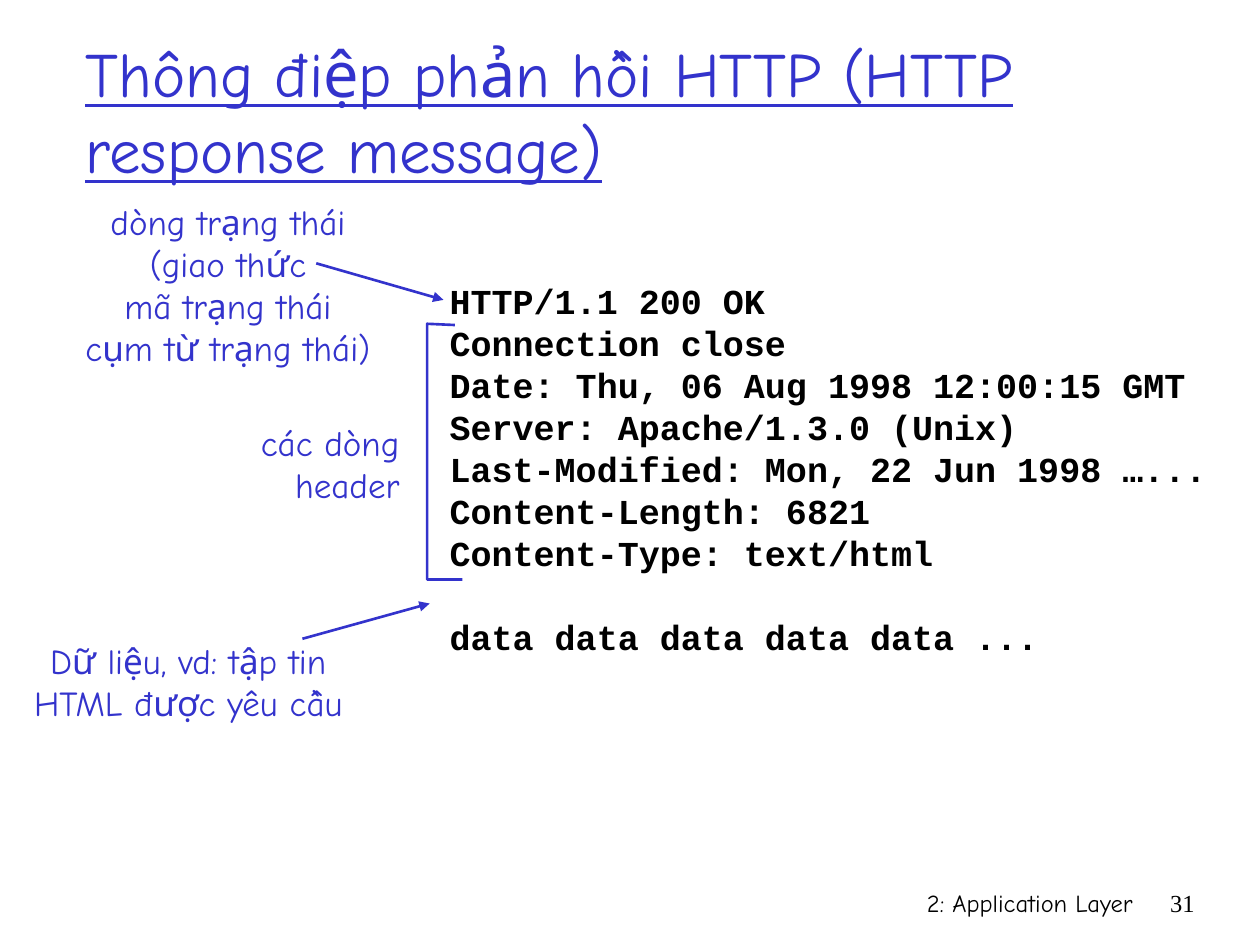
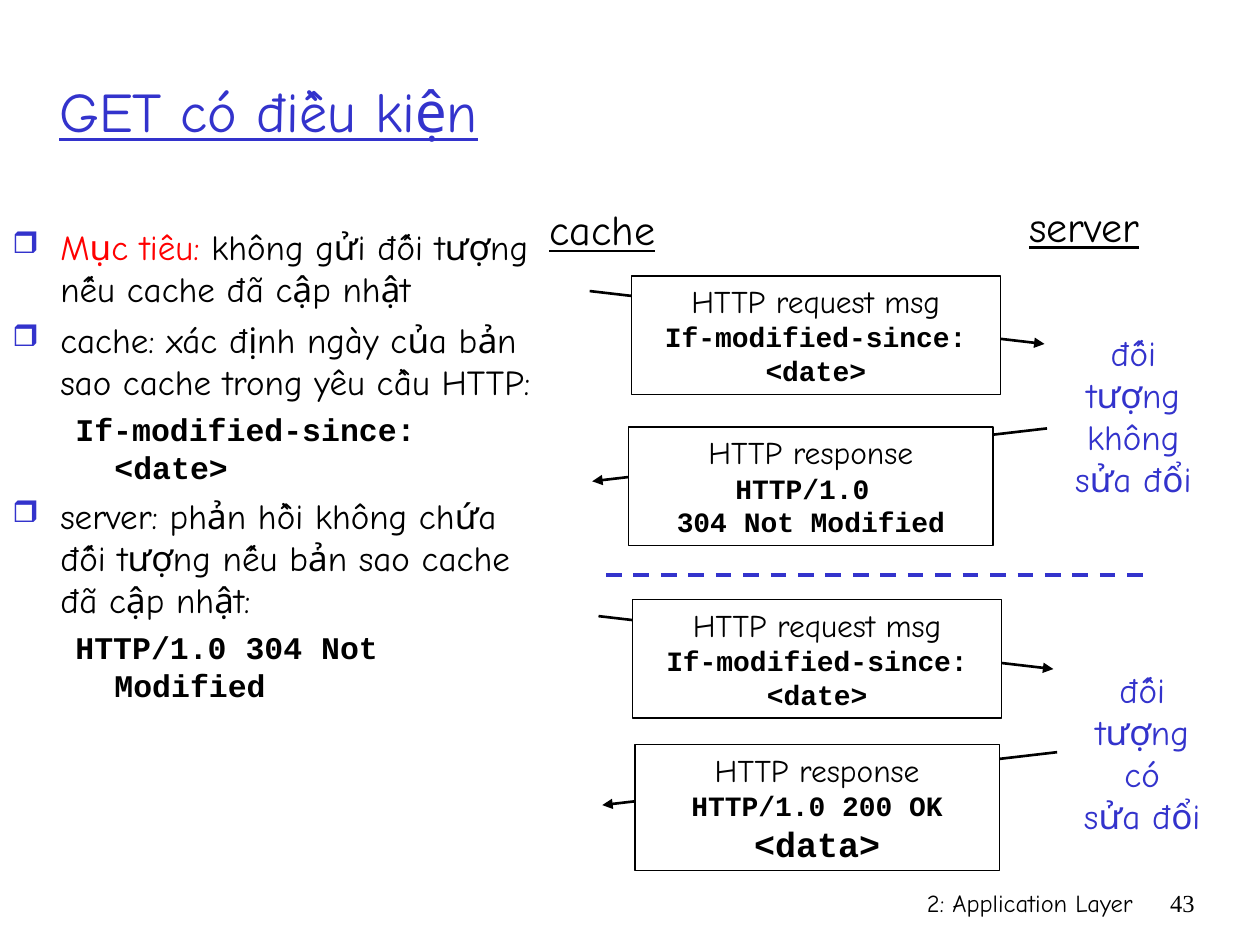
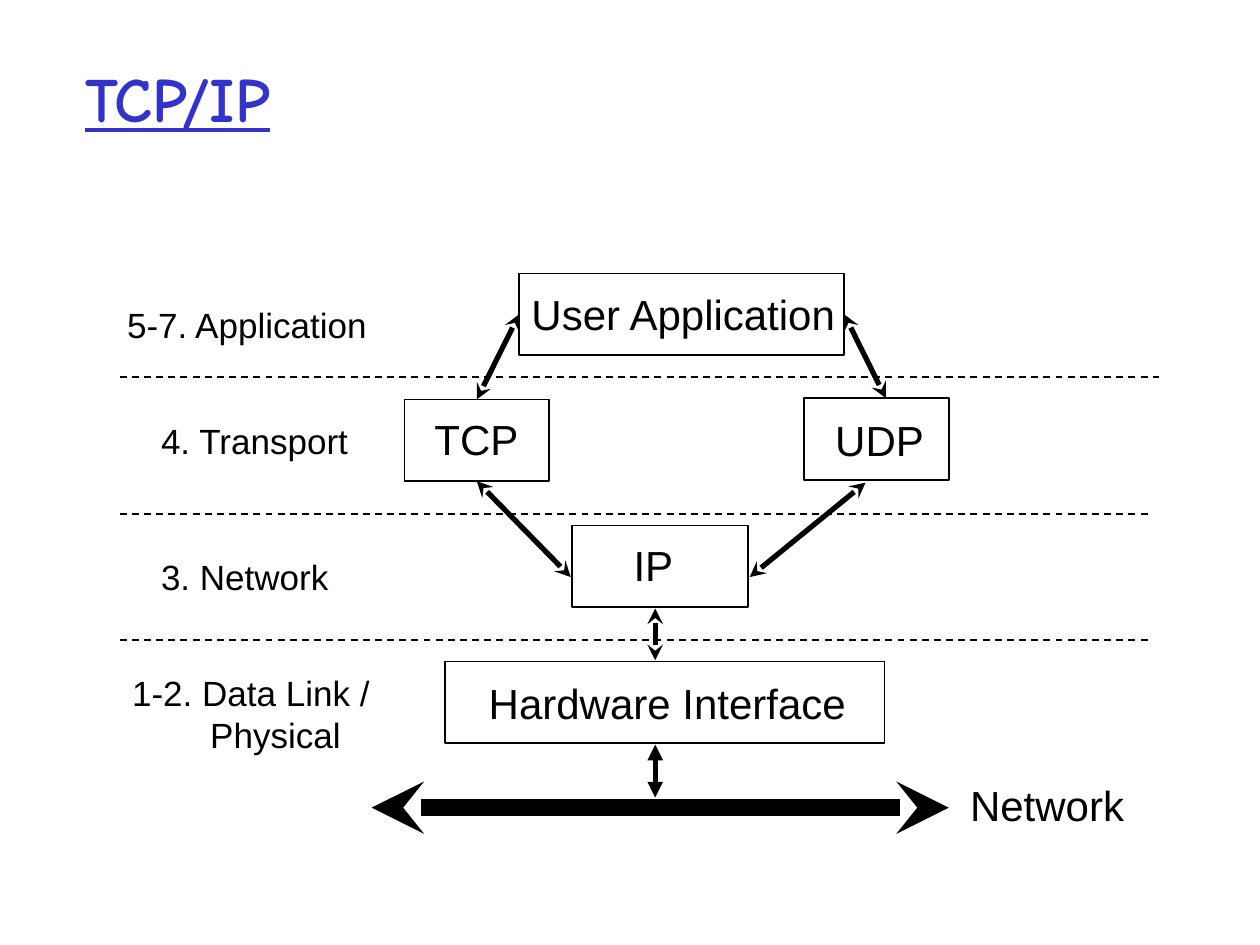
import pptx
import pptx.dml.color
import pptx.enum.dml
import pptx.enum.shapes
import pptx.enum.text
import pptx.oxml
import pptx.oxml.ns
import pptx.util
from dataclasses import dataclass


@dataclass(frozen=True)
class Theme:
    blue: str = "3333CC"
    black: str = "000000"
    white: str = "FFFFFF"
    red: str = "FF0000"
    hand: str = "Comic Neue"
    code: str = "Courier New"
    serif: str = "Times New Roman"
    sans: str = "Arial"
    title: int = 36
    heading: int = 24
    body: int = 20
    message: int = 18
    small_code: int = 16
    footer: int = 14


THEME = Theme()
WIDTH, HEIGHT = 10, 7.5
ALIGN = pptx.enum.text.PP_ALIGN
MIDDLE = pptx.enum.text.MSO_ANCHOR.MIDDLE
TOP, LEFT, BOTTOM, RIGHT = range(4)

# Formats
CODE = dict(font=THEME.code, bold=True)
NOTE = dict(color=THEME.blue, wrap=False)
CENTERED_NOTE = dict(NOTE, align=ALIGN.CENTER)
COLUMN_HEAD = dict(size=THEME.heading, underline=True, align=ALIGN.CENTER, wrap=False)
BULLET = dict(bullet="❒", left=0.38, hanging=0.38, before=5)
CODE_ITEM = dict(CODE, size=THEME.message, level=1, left=0.81, hanging=0.31, before=4.5)
SMALL_CODE = dict(CODE, size=THEME.small_code)
DIAGRAM = dict(font=THEME.sans, wrap=False)

# HTTP response message
RESPONSE_LINES = [
    "HTTP/1.1 200 OK",
    "Connection close",
    "Date: Thu, 06 Aug 1998 12:00:15 GMT",
    "Server: Apache/1.3.0 (Unix)",
    "Last-Modified: Mon, 22 Jun 1998 …...",
    "Content-Length: 6821",
    "Content-Type: text/html",
    dict(text="data data data data data ...", before=24),
]
RESPONSE_NOTES = [
    ((0.58, 1.54, 2.46, 1.44), ALIGN.CENTER,
     ["dòng trạng thái", "(giao thức", "mã trạng thái", "cụm từ trạng thái)"]),
    ((1.97, 3.3, 1.3, 0.77), ALIGN.RIGHT, ["các dòng", "header"]),
    ((0.16, 5.03, 2.67, 0.77), ALIGN.CENTER,
     ["Dữ liệu, vd: tập tin", "HTML được yêu cầu"]),
]
NOTE_ARROWS = [((2.51, 2.09), (3.52, 2.38)), ((2.4, 5.07), (3.41, 4.79))]
HEADER_BRACKET = [(3.61, 2.58), (3.39, 2.57), (3.39, 4.6), (3.67, 4.6)]

# Conditional GET
CACHE_POINTS = [
    dict(BULLET, before=0, text=[("Mục tiêu:", THEME.red),
                                 (" không gửi đối tượng nếu cache đã cập nhật", THEME.black)]),
    dict(BULLET, text="cache: xác định ngày của bản sao cache trong yêu cầu HTTP:"),
    dict(CODE_ITEM, text="If-modified-since: <date>"),
    dict(BULLET, text="server: phản hồi không chứa đối tượng nếu bản sao cache đã cập nhật:"),
    dict(CODE_ITEM, text="HTTP/1.0 304 Not Modified"),
]
COLUMN_HEADS = [("cache", (4.26, 1.57, 1.04, 0.5)), ("server", (8.07, 1.54, 1.07, 0.5))]
REQUEST = ["HTTP request msg", dict(SMALL_CODE, text="If-modified-since: <date>")]
NOT_MODIFIED = ["HTTP response", dict(SMALL_CODE, text="HTTP/1.0 "),
                dict(SMALL_CODE, text="304 Not Modified")]
MODIFIED = ["HTTP response", dict(SMALL_CODE, text="HTTP/1.0 200 OK"),
            dict(CODE, size=THEME.body, text="<data>")]
TO_SERVER, TO_CACHE = (3.61, 0.42), (-3.61, 0.42)
MESSAGES = [  # arrow start, arrow reach, box, paragraphs
    ((4.68, 2.31), TO_SERVER, (5.01, 2.19, 2.93, 0.94), REQUEST),
    ((8.31, 3.4), TO_CACHE, (4.99, 3.39, 2.89, 0.94), NOT_MODIFIED),
    ((4.75, 4.89), TO_SERVER, (5.02, 4.76, 2.93, 0.94), REQUEST),
    ((8.39, 5.97), TO_CACHE, (5.04, 5.91, 2.89, 1), MODIFIED),
]
OUTCOMES = [
    ((8.3, 2.58, 1.39, 1.1), ["đối tượng", "không", "sửa đổi"]),
    ((8.37, 5.26, 1.39, 1.1), ["đối tượng", "có", "sửa đổi"]),
]

# TCP/IP layers
BOX_HEIGHT = 0.65
PROTOCOLS = {  # box left, top, width; label left, top, width
    "User Application": ((4.12, 2.17, 2.58), (4.12, 2.24, 2.67)),
    "TCP": ((3.21, 3.17, 1.15), (3.35, 3.23, 0.87)),
    "UDP": ((6.38, 3.16, 1.15), (6.53, 3.24, 0.91)),
    "Hardware Interface": ((3.53, 5.25, 3.49), (3.78, 5.33, 3.08)),
    "IP": ((4.54, 4.17, 1.4), (4.93, 4.23, 0.52)),
}
PROTOCOL_LINKS = [  # an end is a point, with a box and its side where it is joined
    ((4.12, 2.49), (3.78, 3.16), ("User Application", LEFT), ("TCP", TOP), "stealth"),
    ((6.7, 2.49), (7.03, 3.16), ("User Application", RIGHT), None, "stealth"),
    ((3.78, 3.83), (4.53, 4.58), ("TCP", BOTTOM), None, "stealth"),
    ((6.87, 3.83), (5.95, 4.58), None, None, "stealth"),
    ((5.2, 4.83), (5.2, 5.24), None, None, "stealth"),
    ((5.2, 5.91), (5.2, 6.33), None, None, "triangle"),
]
LAYER_BORDERS = [(2.99, 9.2), (4.08, 9.12), (5.08, 9.12)]
LAYERS = [
    ((0.91, 2.36, 2.12, 0.43), ["5-7. Application"]),
    ((1.18, 3.28, 1.7, 0.43), ["4. Transport"]),
    ((1.18, 4.36, 1.53, 0.43), ["3. Network"]),
    ((0.95, 5.28, 2.17, 0.77), ["1-2. Data Link /", dict(text="Physical", left=0.62)]),
]


def inches(values):
    return [pptx.util.Inches(value) for value in values]


def rgb(color):
    return pptx.dml.color.RGBColor.from_string(color)


def append_xml(parent, tag, **attributes):
    child = pptx.oxml.parse_xml(f"<a:{tag} {pptx.oxml.ns.nsdecls('a')}/>")
    for name, value in attributes.items():
        child.set(name, str(value))
    parent.append(child)
    return child


def write_paragraph(paragraph, text, size=THEME.body, font=THEME.hand, color=THEME.black,
                    bold=False, underline=False, align=ALIGN.LEFT, before=0,
                    left=0, hanging=0, level=0, bullet=None):
    properties = paragraph._p.get_or_add_pPr()
    properties.set("marL", str(pptx.util.Inches(left)))
    properties.set("indent", str(-pptx.util.Inches(hanging)))
    if bullet:
        append_xml(append_xml(properties, "buClr"), "srgbClr", val=THEME.blue)
        append_xml(properties, "buSzPct", val=85000)
        append_xml(properties, "buChar", char=bullet)
    paragraph.level = level
    paragraph.alignment = align
    paragraph.space_before = pptx.util.Pt(before)
    for words, run_color in [(text, color)] if isinstance(text, str) else text:
        run = paragraph.add_run()
        run.text = words
        run.font.name = font
        run.font.size = pptx.util.Pt(size)
        run.font.bold = bold
        run.font.underline = underline
        run.font.color.rgb = rgb(run_color)


def fill_text(shape, paragraphs, wrap=True, anchor=pptx.enum.text.MSO_ANCHOR.TOP, **style):
    """Write paragraphs, each a string or a dict whose format overrides the style."""
    frame = shape.text_frame
    frame.word_wrap = wrap
    frame.vertical_anchor = anchor
    for index, item in enumerate(paragraphs):
        paragraph = frame.add_paragraph() if index else frame.paragraphs[0]
        own = item if isinstance(item, dict) else dict(text=item)
        write_paragraph(paragraph, **{**style, **own})


def add_text(slide, place, paragraphs, **style):
    fill_text(slide.shapes.add_textbox(*inches(place)), paragraphs, **style)


def add_box(slide, place, line_width):
    box = slide.shapes.add_shape(pptx.enum.shapes.MSO_SHAPE.RECTANGLE, *inches(place))
    box.shadow.inherit = False
    box.fill.solid()
    box.fill.fore_color.rgb = rgb(THEME.white)
    box.line.color.rgb = rgb(THEME.black)
    box.line.width = pptx.util.Pt(line_width)
    return box


def add_line(slide, start, end, width=1.5, color=THEME.black, head=None, tail=None, dashed=False):
    connector = slide.shapes.add_connector(
        pptx.enum.shapes.MSO_CONNECTOR.STRAIGHT, *inches(start + end))
    connector.line.color.rgb = rgb(color)
    connector.line.width = pptx.util.Pt(width)
    if dashed:
        connector.line.dash_style = pptx.enum.dml.MSO_LINE.DASH
    for tag, kind in (("headEnd", head), ("tailEnd", tail)):
        if kind:
            append_xml(connector.line._get_or_add_ln(), tag, type=kind)
    append_xml(connector._element.spPr, "effectLst")
    return connector


def add_slide(presentation, title, left=0.58, height=1.25, size=THEME.title, bold=False,
              number=None):
    """Add a slide with its title and, when numbered, its footer."""
    slide = presentation.slides.add_slide(presentation.slide_layouts[6])
    if number:
        footer = dict(size=THEME.footer, align=ALIGN.RIGHT)
        add_text(slide, (5.92, 7, 3.17, 0.5), ["2: Application Layer"], **footer)
        add_text(slide, (9.08, 7, 0.5, 0.5), [number], font=THEME.serif, **footer)
    add_text(slide, (left, 0.25, 9.08 - left, height), [title], size=size, bold=bold,
             color=THEME.blue, underline=True, anchor=MIDDLE)
    return slide


def build_response_slide(presentation):
    slide = add_slide(presentation, "Thông điệp phản hồi HTTP (HTTP response message)", number="31")
    add_text(slide, (3.47, 2.17, 6.38, 3.1), RESPONSE_LINES, wrap=False, **CODE)
    for place, align, lines in RESPONSE_NOTES:
        add_text(slide, place, lines, align=align, **NOTE)
    for start, end in NOTE_ARROWS:
        add_line(slide, start, end, color=THEME.blue, tail="triangle")
    first, *others = [inches(point) for point in HEADER_BRACKET]
    builder = slide.shapes.build_freeform(*first)
    builder.add_line_segments(others, close=False)
    bracket = builder.convert_to_shape()
    bracket.shadow.inherit = False
    bracket.fill.background()
    bracket.line.color.rgb = rgb(THEME.blue)
    bracket.line.width = pptx.util.Pt(1.5)


def build_conditional_get_slide(presentation):
    slide = add_slide(presentation, "GET có điều kiện", left=0.37, size=32, number="43")
    add_text(slide, (0, 1.74, 4.42, 4.71), CACHE_POINTS)
    for name, place in COLUMN_HEADS:
        add_text(slide, place, [name], **COLUMN_HEAD)
    for (x, y), (across, down), place, paragraphs in MESSAGES:
        add_line(slide, (x, y), (x + across, y + down), tail="triangle")
        fill_text(add_box(slide, place, 0.75), paragraphs,
                  size=THEME.message, align=ALIGN.CENTER)
    for place, lines in OUTCOMES:
        add_text(slide, place, lines, **CENTERED_NOTE)
    add_line(slide, (4.81, 4.56), (9.08, 4.56), width=2.25, color=THEME.blue, dashed=True)


def build_layers_slide(presentation):
    slide = add_slide(presentation, "TCP/IP", height=1.04, bold=True)
    boxes = {name: add_box(slide, (*box, BOX_HEIGHT), 1)
             for name, (box, label) in PROTOCOLS.items()}
    for start, end, start_joint, end_joint, arrow in PROTOCOL_LINKS:
        link = add_line(slide, start, end, width=3, head=arrow, tail=arrow)
        for joint, connect in ((start_joint, link.begin_connect), (end_joint, link.end_connect)):
            if joint:
                name, side = joint
                connect(boxes[name], side)
    for y, right in LAYER_BORDERS:
        add_line(slide, (0.95, y), (right, y), width=1, dashed=True)
    add_line(slide, (2.95, 6.41), (7.53, 6.41), width=10, head="stealth", tail="stealth")
    labels = {name: label for name, (box, label) in PROTOCOLS.items()}
    for name, label in {**labels, "Network": (7.6, 6.14, 1.42)}.items():
        add_text(slide, (*label, 0.5), [name], size=THEME.heading, **DIAGRAM)
    for place, lines in LAYERS:
        add_text(slide, place, lines, **DIAGRAM)


def main():
    presentation = pptx.Presentation()
    presentation.slide_width, presentation.slide_height = inches((WIDTH, HEIGHT))
    build_response_slide(presentation)
    build_conditional_get_slide(presentation)
    build_layers_slide(presentation)
    presentation.save("out.pptx")


if __name__ == "__main__":
    main()
